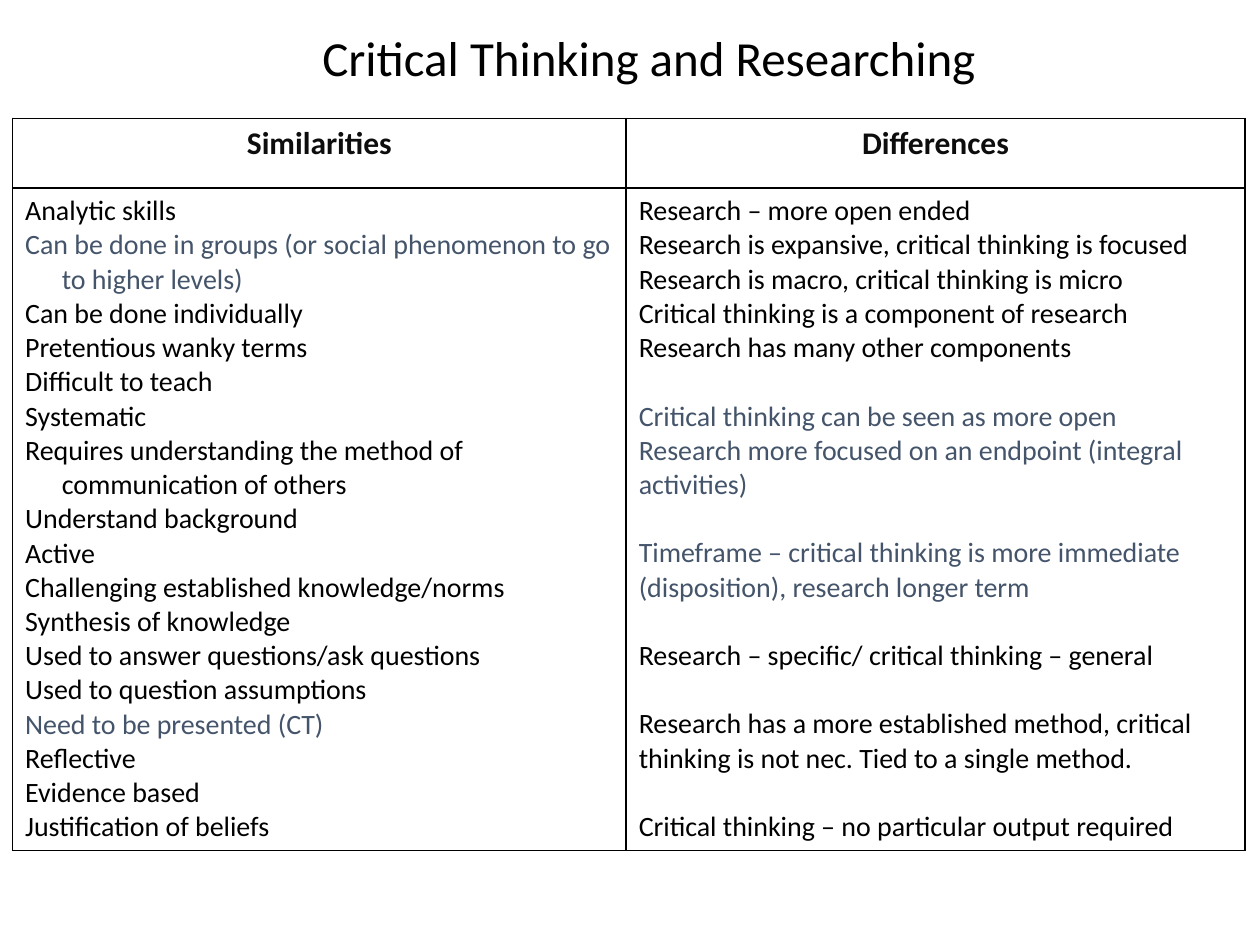
from dataclasses import dataclass

from lxml import etree
from pptx import Presentation
from pptx import util as u
from pptx.dml.color import RGBColor
from pptx.enum import text
from pptx.oxml import ns


@dataclass(frozen=True)
class Theme:
    """Colours, font and type sizes of the slide."""
    font: str = "Calibri"
    ink: str = "000000"
    heading: str = "0D0D0D"
    accent: str = "44546A"
    paper: str = "FFFFFF"
    title_size: float = 28
    heading_size: float = 18
    body_size: float = 16
    line_height: float = 19.5
    border: float = 1


THEME = Theme()
TITLE = "Critical Thinking and Researching"
HEADINGS = ("Similarities", "Differences")
SIMILARITIES = [[
    "Analytic skills",
    "Can be done in groups (or social phenomenon to go to higher levels)",
    "Can be done individually",
    "Pretentious wanky terms",
    "Difficult to teach",
    "Systematic",
    "Requires understanding the method of communication of others",
    "Understand background",
    "Active",
    "Challenging established knowledge/norms",
    "Synthesis of knowledge",
    "Used to answer questions/ask questions",
    "Used to question assumptions",
    "Need to be presented (CT)",
    "Reflective",
    "Evidence based",
    "Justification of beliefs",
]]
DIFFERENCES = [
    [
        "Research – more open ended",
        "Research is expansive, critical thinking is focused",
        "Research is macro, critical thinking is micro",
        "Critical thinking is a component of research",
        "Research has many other components",
    ],
    [
        "Critical thinking can be seen as more open",
        "Research more focused on an endpoint (integral activities)",
    ],
    ["Timeframe – critical thinking is more immediate (disposition), research longer term"],
    ["Research – specific/ critical thinking – general"],
    ["Research has a more established method, critical thinking is not nec. Tied to a single method."],
    ["Critical thinking – no particular output required"],
]
ACCENTED = {SIMILARITIES[0][1], SIMILARITIES[0][13], *DIFFERENCES[1], *DIFFERENCES[2]}


def write_para(para, words, *, size, color, bold=False, align=text.PP_ALIGN.LEFT, before=0, hanging=0):
    """Write one formatted paragraph."""
    if hanging:
        props = para._p.get_or_add_pPr()
        props.set("marL", str(u.Inches(hanging)))
        props.set("indent", str(-u.Inches(hanging)))
    para.alignment = align
    para.space_before = u.Pt(before)
    span = para.add_run()
    span.text = words
    span.font.name = THEME.font
    span.font.size = u.Pt(size)
    span.font.bold = bold
    span.font.color.rgb = RGBColor.from_string(color)


def write_groups(cell, groups, hanging=0):
    """Write groups of lines, set apart by the height of one line."""
    frame = cell.text_frame
    for group_index, group in enumerate(groups):
        for line_index, line in enumerate(group):
            first = group_index == line_index == 0
            para = frame.paragraphs[0] if first else frame.add_paragraph()
            gap = THEME.line_height if group_index and not line_index else 0
            color = THEME.accent if line in ACCENTED else THEME.ink
            write_para(para, line, size=THEME.body_size, color=color, before=gap, hanging=hanging)


def style_cell(cell):
    """Give a cell thin borders on all sides and a plain fill."""
    props = cell._tc.get_or_add_tcPr()
    for side in ("lnL", "lnR", "lnT", "lnB"):
        line = etree.SubElement(props, ns.qn(f"a:{side}"), w=str(u.Pt(THEME.border)))
        fill = etree.SubElement(line, ns.qn("a:solidFill"))
        etree.SubElement(fill, ns.qn("a:srgbClr"), val=THEME.ink)
    cell.fill.solid()
    cell.fill.fore_color.rgb = RGBColor.from_string(THEME.paper)


def place_title(page, box):
    """Place the centred title in the box."""
    title = page.shapes.title
    title.left, title.top, title.width, title.height = map(u.Inches, box)
    frame = title.text_frame
    frame.word_wrap = True
    frame.auto_size = text.MSO_AUTO_SIZE.NONE
    frame.vertical_anchor = text.MSO_ANCHOR.TOP
    write_para(frame.paragraphs[0], TITLE, size=THEME.title_size, color=THEME.ink,
               align=text.PP_ALIGN.CENTER)


def place_comparison(page, box, widths, heights):
    """Place the two-column comparison table in the box."""
    table = page.shapes.add_table(len(heights), len(widths), *map(u.Inches, box)).table
    table.horz_banding = False
    for column, width in zip(table.columns, widths):
        column.width = u.Inches(width)
    for row, height in zip(table.rows, heights):
        row.height = u.Inches(height)
    for cell in table.iter_cells():
        style_cell(cell)
    for column, heading in enumerate(HEADINGS):
        write_para(table.cell(0, column).text_frame.paragraphs[0], heading,
                   size=THEME.heading_size, color=THEME.heading, bold=True,
                   align=text.PP_ALIGN.CENTER)
    write_groups(table.cell(1, 0), SIMILARITIES, hanging=0.29)
    write_groups(table.cell(1, 1), DIFFERENCES)


def main():
    """Build and save the deck."""
    deck = Presentation()
    deck.slide_width, deck.slide_height = u.Inches(10), u.Inches(7.5)
    page = deck.slides.add_slide(deck.slide_layouts.get_by_name("Title Only"))
    place_comparison(page, (0.1, 0.94, 9.78, 5.72), (4.87, 4.91), (0.55, 5.17))
    place_title(page, (0.53, 0.17, 9.24, 0.57))
    deck.save("out.pptx")


if __name__ == "__main__":
    main()
